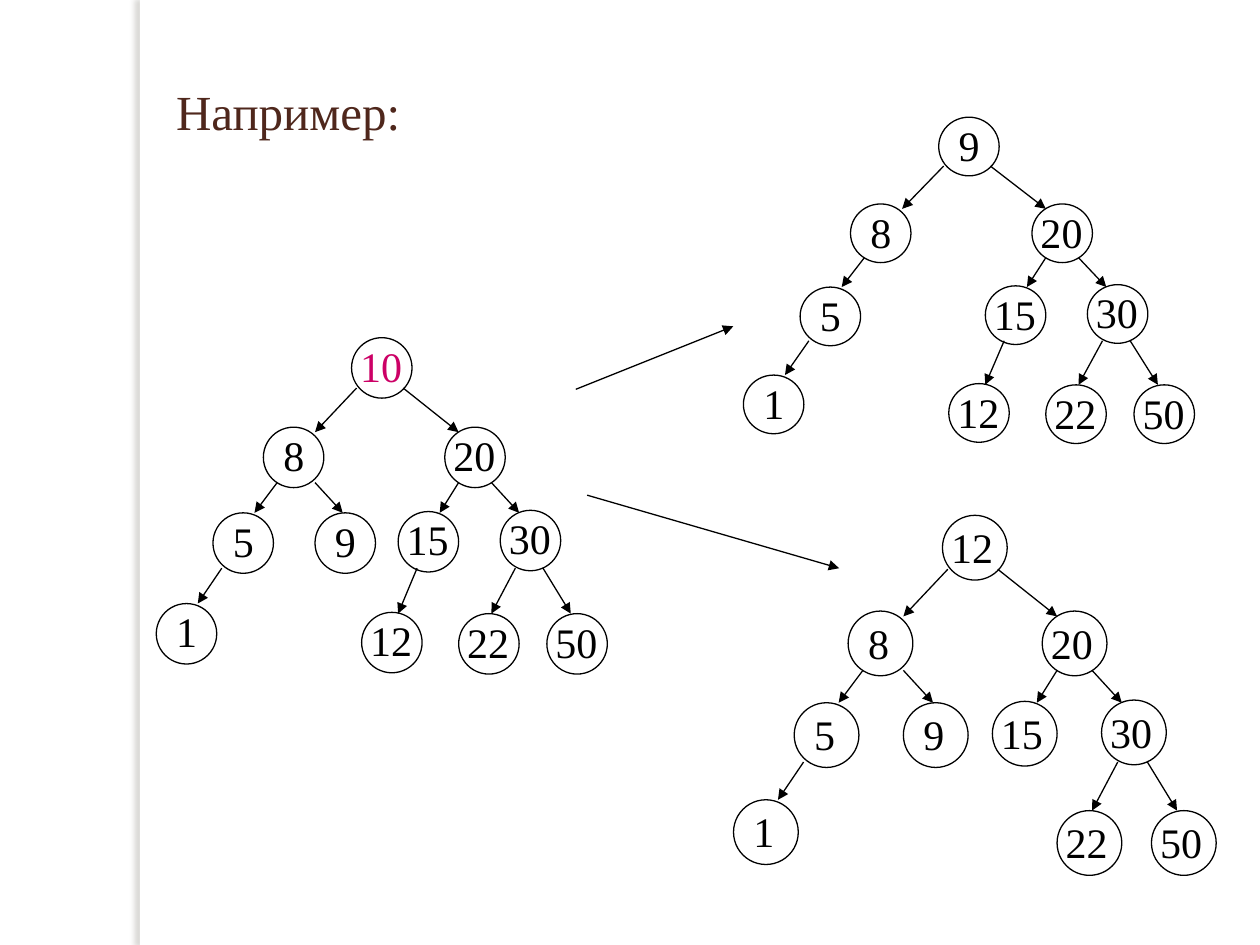
import pptx
import pptx.util
import pptx.dml.color
import pptx.enum.shapes
import pptx.enum.text
import pptx.oxml
import pptx.oxml.ns
from pptx.util import Inches

COLORS = {"paper": "FFFFFF", "ink": "000000", "title": "4F271C",
          "root": "CC0066", "shade": "736F63"}
FONT = "Times New Roman"
SIZE = 0.48

# Slot: place of the circle and its incoming arrow, in inches from the root
SLOTS = {
    "root": ((0, 0), None),
    "L": ((-0.70, 0.71), (0.04, 0.40, -0.29, 0.75)),
    "R": ((0.74, 0.71), (0.41, 0.40, 0.85, 0.75)),
    "LL": ((-1.10, 1.39), (-0.59, 1.15, -0.77, 1.39)),
    "LR": ((-0.29, 1.39), (-0.29, 1.15, -0.07, 1.39)),
    "RL": ((0.37, 1.38), (0.85, 1.15, 0.70, 1.39)),
    "RR": ((1.18, 1.37), (1.11, 1.15, 1.33, 1.39)),
    "LLL": ((-1.55, 2.11), (-1.03, 1.83, -1.22, 2.11)),
    "RLL": ((0.08, 2.18), (0.52, 1.83, 0.37, 2.19)),
    "RRL": ((0.85, 2.19), (1.30, 1.83, 1.11, 2.19)),
    "RRR": ((1.55, 2.19), (1.52, 1.83, 1.74, 2.19)),
}
SHARED = {"L": "8", "R": "20", "LL": "5", "RL": "15", "RR": "30",
          "LLL": "1", "RRL": "22", "RRR": "50"}


def color(name):
    return pptx.dml.color.RGBColor.from_string(COLORS[name])


def add_xml(parent, tag, inner="", **attrs):
    pairs = " ".join(f'{key}="{val}"' for key, val in attrs.items())
    space = pptx.oxml.ns.nsdecls("a")
    parent.append(pptx.oxml.parse_xml(f"<a:{tag} {space} {pairs}>{inner}</a:{tag}>"))


def write(frame, text, size=24, tint="ink", fit=True):
    frame.word_wrap = True
    frame.vertical_anchor = pptx.enum.text.MSO_ANCHOR.TOP
    auto = pptx.enum.text.MSO_AUTO_SIZE
    frame.auto_size = auto.SHAPE_TO_FIT_TEXT if fit else auto.NONE
    run = frame.paragraphs[0].add_run()
    run.text = text
    run.font.name = FONT
    run.font.size = pptx.util.Pt(size)
    run.font.color.rgb = color(tint)


class Painter:
    def __init__(self, slide):
        self.slide = slide
        self.width = pptx.util.Pt(0.75)

    def shape(self, home, kind, x, y, w, h, line=True):
        item = home.add_shape(kind, Inches(x), Inches(y), Inches(w), Inches(h))
        item.shadow.inherit = False
        item.fill.solid()
        item.fill.fore_color.rgb = color("paper")
        if line:
            item.line.color.rgb = color("ink")
            item.line.width = self.width
        else:
            item.line.fill.background()
        return item

    def band(self):
        kind = pptx.enum.shapes.MSO_SHAPE.RECTANGLE
        item = self.shape(self.slide.shapes, kind, 1.11, 0, 0.08, 7.5, line=False)
        tint = f'<a:srgbClr val="{COLORS["shade"]}"><a:alpha val="25000"/></a:srgbClr>'
        effects = item._element.spPr.find(pptx.oxml.ns.qn("a:effectLst"))
        add_xml(effects, "outerShdw", tint, blurRad=pptx.util.Pt(3),
                dist=pptx.util.Pt(3), dir=180 * 60000, algn="tl", rotWithShape=0)

    def text(self, home, text, x, y, w=0.67, h=0.5, **style):
        box = home.add_textbox(Inches(x), Inches(y), Inches(w), Inches(h))
        write(box.text_frame, text, **style)

    def arrow(self, home, *ends):
        kind = pptx.enum.shapes.MSO_CONNECTOR.STRAIGHT
        line = home.add_connector(kind, *(Inches(end) for end in ends))
        line.line.color.rgb = color("ink")
        line.line.width = self.width
        add_xml(line.line._get_or_add_ln(), "tailEnd", type="triangle")
        add_xml(line._element.spPr, "effectLst")

    def tree(self, x, y, labels, wide=1, high=1, lift=0.03, tint="ink"):
        """Draw circles, arrows and labels; x, y is the root circle's corner."""
        home = self.slide.shapes.add_group_shape().shapes
        spots = {slot: (x + SLOTS[slot][0][0] * wide, y + SLOTS[slot][0][1] * high)
                 for slot in labels}
        for left, top in spots.values():
            self.shape(home, pptx.enum.shapes.MSO_SHAPE.OVAL,
                       left, top, SIZE * wide, SIZE * high)
        for slot in labels:
            if SLOTS[slot][1]:
                x1, y1, x2, y2 = SLOTS[slot][1]
                self.arrow(home, x + x1 * wide, y + y1 * high,
                           x + x2 * wide, y + y2 * high)
        for slot, label in labels.items():
            left, top = spots[slot]
            shift = 0.06 if len(label) == 1 else -0.03
            self.text(home, label, left + shift, top - lift,
                      tint=tint if slot == "root" else "ink")


def main():
    deck = pptx.Presentation()
    deck.slide_width, deck.slide_height = Inches(10), Inches(7.5)
    slide = deck.slides.add_slide(deck.slide_layouts[6])
    paint = Painter(slide)
    paint.band()
    paint.text(slide.shapes, "Например:", 1.3, 0.6, 8.27, 6.33,
               size=28, tint="title", fit=False)
    paint.tree(2.79, 2.68, {"root": "10", **SHARED, "LR": "9", "RLL": "12"},
               tint="root")
    paint.tree(7.45, 0.93, {"root": "9", **SHARED, "RLL": "12"}, high=0.97)
    paint.tree(7.48, 4.09, {"root": "12", **SHARED, "LR": "9"},
               wide=1.07, high=1.07, lift=0)
    paint.arrow(slide.shapes, 4.57, 3.09, 5.82, 2.59)
    paint.arrow(slide.shapes, 4.66, 3.93, 6.66, 4.51)
    deck.save("out.pptx")


if __name__ == "__main__":
    main()
